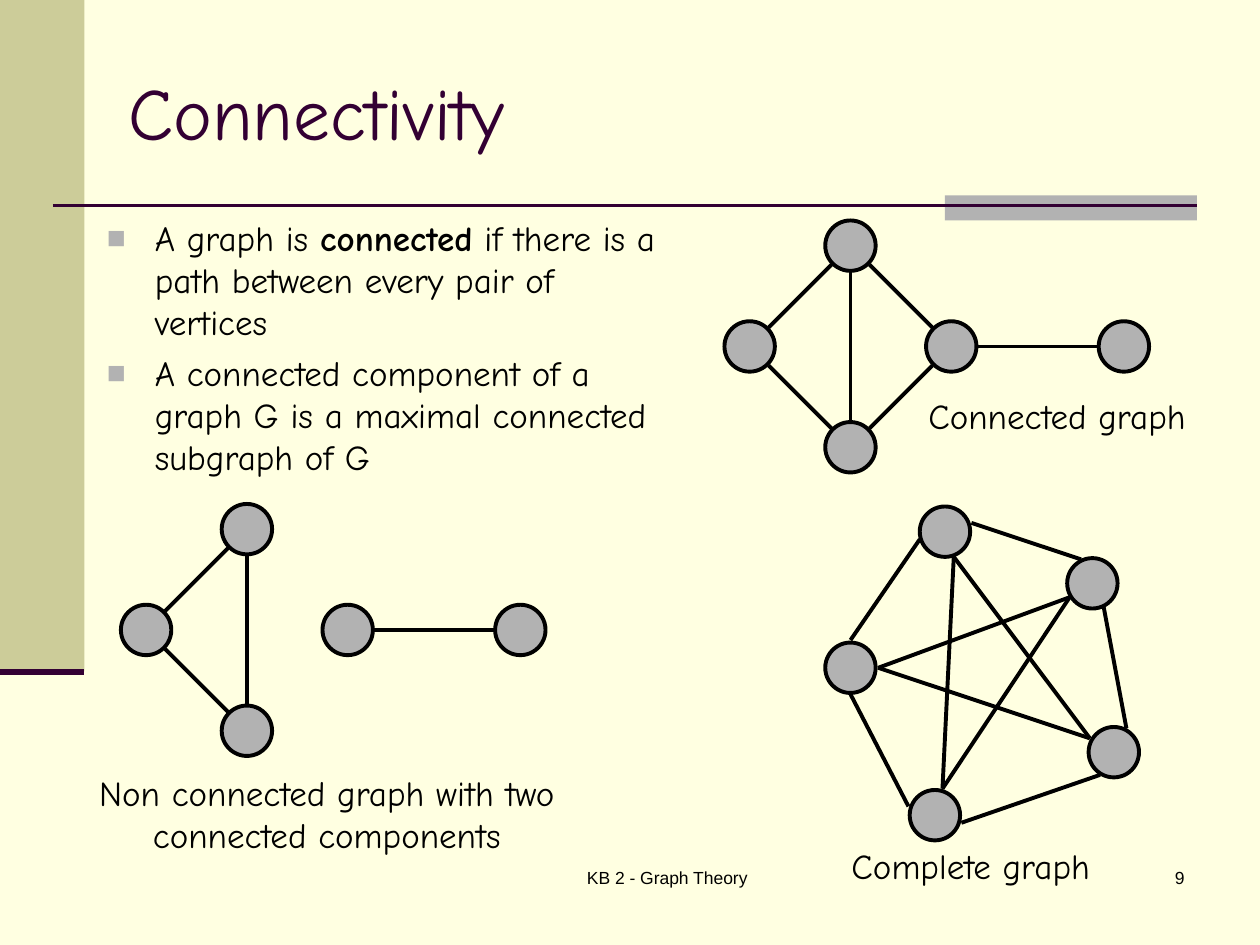
from math import hypot

from lxml import etree
from pptx import Presentation
from pptx.dml.color import RGBColor
from pptx.enum.shapes import MSO_CONNECTOR, MSO_SHAPE
from pptx.enum.text import MSO_ANCHOR, PP_ALIGN
from pptx.oxml.ns import qn
from pptx.util import Pt

LEFT, CENTER, RIGHT = PP_ALIGN.LEFT, PP_ALIGN.CENTER, PP_ALIGN.RIGHT
TOP, MIDDLE = MSO_ANCHOR.TOP, MSO_ANCHOR.MIDDLE
RECTANGLE, OVAL = MSO_SHAPE.RECTANGLE, MSO_SHAPE.OVAL
STRAIGHT = MSO_CONNECTOR.STRAIGHT

PX = 9144  # 100 px to the inch
CREAM, OLIVE, GRAY, PLUM, BLACK = "FFFFE1", "CCCC99", "B2B2B2", "330033", "000000"
HAND, SANS = "Comic Neue", "Arial"
RADIUS, REACH = 20, 21  # node radius; distance from node centre to edge end
BULLET_INDENT = 38

# Content: plain text boxes as (text, box, size, font, colour, align, anchor)
LABELS = [
    ("Connectivity", (92, 42, 850, 92), 42, HAND, PLUM, LEFT, MIDDLE),
    ("Connected graph", (712, 308, 254, 44), 20, HAND, BLACK, CENTER, TOP),
    ("Non connected graph with two connected components",
     (60, 607, 399, 77), 20, HAND, BLACK, CENTER, TOP),
    ("Complete graph", (637, 665, 267, 44), 20, HAND, BLACK, CENTER, TOP),
    ("KB 2 - Graph Theory", (367, 683, 325, 50), 10, SANS, BLACK, CENTER, TOP),
    ("9", (742, 683, 208, 50), 10, SANS, BLACK, RIGHT, TOP),
]

# Bullets as lists of (text, bold)
BODY_BOX = (75, 167, 458, 275)
BULLETS = [
    [("A graph is ", False), ("connected", True),
     (" if there is a path between every pair of vertices", False)],
    [("A connected component of a graph G is a maximal connected subgraph of G", False)],
]

# Node centres relative to the middle of a diamond, and the edges between them
DIAMOND = {"left": (-80, 0), "top": (0, -80), "bottom": (0, 80),
           "right": (80, 0), "far": (217, 0)}
SPLIT_EDGES = [("top", "left"), ("bottom", "left"), ("top", "bottom"), ("right", "far")]
JOINED_EDGES = SPLIT_EDGES + [("top", "right"), ("bottom", "right")]
DIAMOND_GRAPHS = [((675, 275), JOINED_EDGES), ((196, 500), SPLIT_EDGES)]

# Complete graph: node centres, and edges between points on the rims
PENTAGON = [(867, 463), (675, 530), (750, 422), (742, 647), (884, 597)]
TOP_FOOT, UPPER_FOOT = (757, 442), (849, 474)
LEFT_TIP, BOTTOM_TIP, LOWER_TIP = (697, 530), (748, 626), (865, 586)
PENTAGON_EDGES = [
    ((730, 428), (675, 508)), ((721, 640), (675, 551)), ((771, 415), (858, 444)),
    ((876, 482), (894, 578)), ((763, 653), (873, 615)),
    (BOTTOM_TIP, UPPER_FOOT), (TOP_FOOT, BOTTOM_TIP), (LOWER_TIP, TOP_FOOT),
    (LOWER_TIP, LEFT_TIP), (LEFT_TIP, UPPER_FOOT),
]


def color(value):
    return RGBColor.from_string(value)


def emu(lengths):
    return [length * PX for length in lengths]


def add_block(shapes, kind, box, fill, outline=None):
    block = shapes.add_shape(kind, *emu(box))
    block.shadow.inherit = False
    block.fill.solid()
    block.fill.fore_color.rgb = color(fill)
    if outline:
        block.line.color.rgb = color(outline)
        block.line.width = Pt(2.25)
    else:
        block.line.fill.background()


def add_line(shapes, start, end, stroke=BLACK, width=2.25):
    line = shapes.add_connector(STRAIGHT, *emu(start + end))
    line.line.color.rgb = color(stroke)
    line.line.width = Pt(width)
    properties = line._element.spPr
    etree.SubElement(properties, qn("a:effectLst"))


def add_frame(shapes, box, anchor=TOP):
    frame = shapes.add_textbox(*emu(box)).text_frame
    frame.word_wrap = True
    frame.vertical_anchor = anchor
    return frame


def add_span(para, text, size, font, fill, bold=False):
    span = para.add_run()
    span.text = text
    span.font.size = Pt(size)
    span.font.name = font
    span.font.bold = bold
    span.font.color.rgb = color(fill)


def set_bullet(para):
    properties = para._p.get_or_add_pPr()
    properties.set("marL", str(BULLET_INDENT * PX))
    properties.set("indent", str(-BULLET_INDENT * PX))
    bullet_color = etree.SubElement(properties, qn("a:buClr"))
    etree.SubElement(bullet_color, qn("a:srgbClr"), val=GRAY)
    etree.SubElement(properties, qn("a:buSzPct"), val="90000")
    etree.SubElement(properties, qn("a:buFont"), typeface=SANS)
    etree.SubElement(properties, qn("a:buChar"), char="■")


def trim(start, end):
    """Shorten a centre-to-centre edge so that it stops at both rims."""
    dx, dy = end[0] - start[0], end[1] - start[1]
    share = REACH / hypot(dx, dy)
    step_x, step_y = round(dx * share), round(dy * share)
    return ((start[0] + step_x, start[1] + step_y),
            (end[0] - step_x, end[1] - step_y))


def add_graph(page, nodes, edges):
    shapes = page.shapes.add_group_shape().shapes
    for x, y in nodes:
        add_block(shapes, OVAL, (x - RADIUS, y - RADIUS, 2 * RADIUS, 2 * RADIUS), GRAY, BLACK)
    for start, end in edges:
        add_line(shapes, start, end)


def main():
    deck = Presentation()
    deck.slide_width, deck.slide_height = emu((1000, 750))
    page = deck.slides.add_slide(deck.slide_layouts[6])
    page.background.fill.solid()
    page.background.fill.fore_color.rgb = color(CREAM)

    # Side band and title rule
    add_block(page.shapes, RECTANGLE, (0, 0, 67, 533), OLIVE)
    add_block(page.shapes, RECTANGLE, (750, 155, 200, 20), GRAY)
    add_line(page.shapes, (42, 163), (950, 163), PLUM, 1.5)
    add_line(page.shapes, (0, 533), (67, 533), PLUM, 3.5)

    # Title, captions and footer
    for text, box, size, font, fill, align, anchor in LABELS:
        para = add_frame(page.shapes, box, anchor).paragraphs[0]
        para.alignment = align
        add_span(para, text, size, font, fill)

    # Bulleted definitions
    body = add_frame(page.shapes, BODY_BOX)
    for index, spans in enumerate(BULLETS):
        para = body.add_paragraph() if index else body.paragraphs[0]
        para.space_before = Pt(5)
        set_bullet(para)
        for text, bold in spans:
            add_span(para, text, 20, HAND, BLACK, bold)

    # Connected graph and graph with two components
    for (x, y), edges in DIAMOND_GRAPHS:
        nodes = {name: (x + dx, y + dy) for name, (dx, dy) in DIAMOND.items()}
        add_graph(page, nodes.values(), [trim(nodes[a], nodes[b]) for a, b in edges])

    # Complete graph
    add_graph(page, PENTAGON, PENTAGON_EDGES)

    deck.save("out.pptx")


if __name__ == "__main__":
    main()
